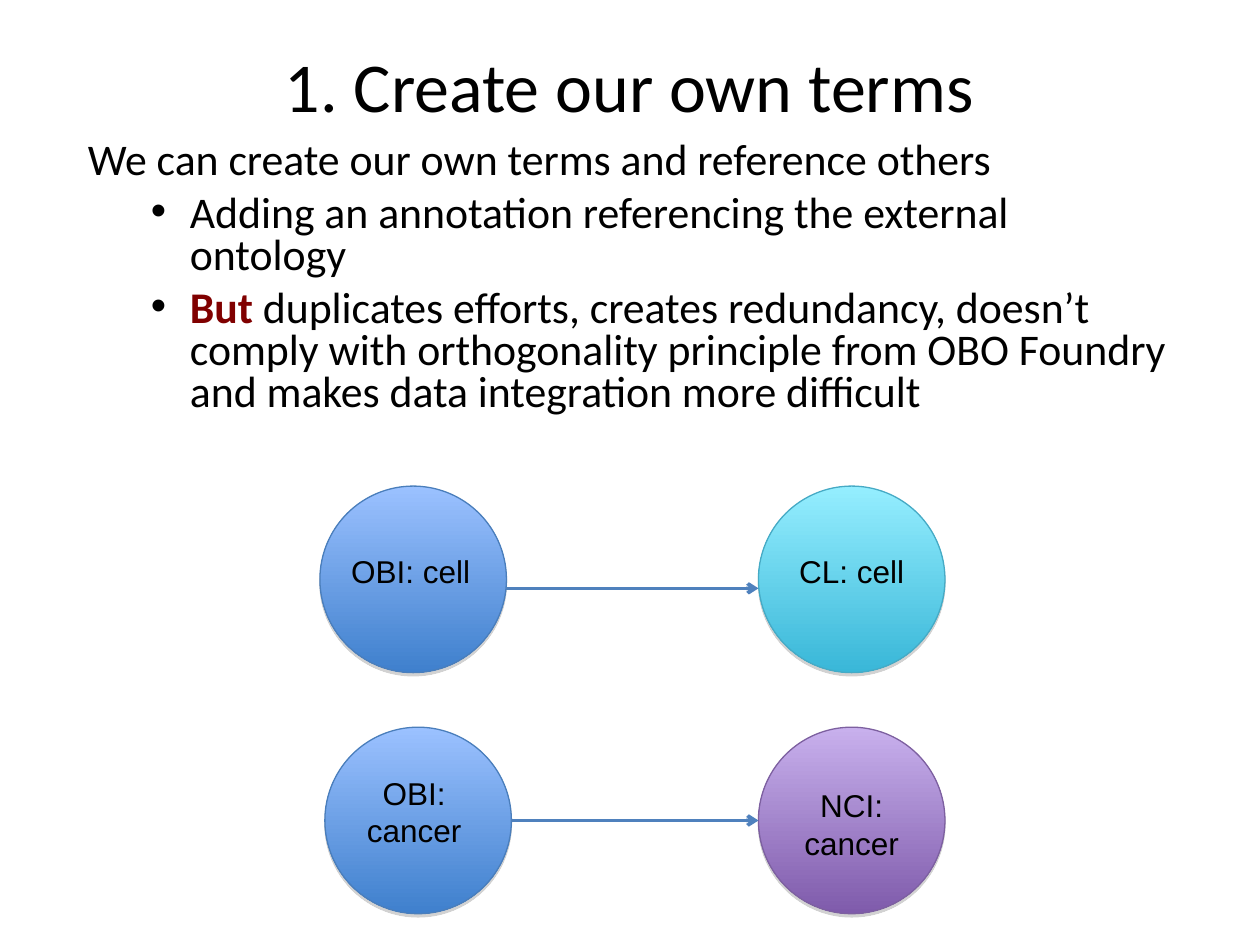
from dataclasses import dataclass

from lxml import etree
from pptx import Presentation
from pptx import util as u
from pptx.dml.color import RGBColor
from pptx.enum import shapes, text
from pptx.oxml import ns
from pptx.util import Cm


@dataclass(frozen=True)
class Theme:
    heading_font: str = "Calibri"
    label_font: str = "Arial"
    title_size: int = 40
    body_size: int = 25
    label_size: int = 18
    ink: str = "000000"
    warning: str = "800000"
    arrow: str = "4F81BD"
    shadow: str = "808080"
    blue: tuple = ("9BC1FF", "3F80CD", "4A7EBB")
    cyan: tuple = ("95EEFF", "39B7D8", "46AAC5")
    purple: tuple = ("C8B0ED", "7F5BAB", "7D60A0")


THEME = Theme()
DIAMETER = 3.76
TARGET_LEFT = 15.29


def add_xml(parent, tag, **attributes):
    return etree.SubElement(parent, ns.qn(tag), attributes)


def style_span(span, font, size, color=THEME.ink, bold=False):
    span.font.name = font
    span.font.size = u.Pt(size)
    span.font.bold = bold
    span.font.color.rgb = RGBColor.from_string(color)


def add_box(page, left, top, width, height):
    box = page.shapes.add_textbox(Cm(left), Cm(top), Cm(width), Cm(height))
    box.text_frame.word_wrap = True
    return box


def add_title(page, words):
    frame = add_box(page, 1.52, 0.64, 22.33, 2.11).text_frame
    frame.text = words
    frame.vertical_anchor = text.MSO_ANCHOR.MIDDLE
    para = frame.paragraphs[0]
    para.alignment = text.PP_ALIGN.CENTER
    style_span(para.runs[0], THEME.heading_font, THEME.title_size)


def set_indent(para, margin, first_line):
    properties = para._p.get_or_add_pPr()
    properties.set("marL", str(Cm(margin)))
    properties.set("indent", str(Cm(first_line)))
    return properties


def add_bullet(para):
    properties = set_indent(para, 2.06, -0.79)
    para.level = 1
    color = add_xml(properties, "a:buClr")
    add_xml(color, "a:srgbClr", val=THEME.ink)
    add_xml(properties, "a:buFont", typeface=THEME.label_font)
    add_xml(properties, "a:buChar", char="•")


def add_body(page, lead, bullets):
    frame = add_box(page, 1.52, 2.74, 22.33, 6.35).text_frame
    frame.text = lead
    first = frame.paragraphs[0]
    set_indent(first, 1.27, -1.27)
    style_span(first.runs[0], THEME.heading_font, THEME.body_size)
    for warning, words in bullets:
        para = frame.add_paragraph()
        add_bullet(para)
        para.space_before = u.Pt(6.2)
        if warning:
            span = para.add_run()
            span.text = warning
            style_span(span, THEME.heading_font, THEME.body_size, THEME.warning, True)
        span = para.add_run()
        span.text = words
        style_span(span, THEME.heading_font, THEME.body_size)
    for para in frame.paragraphs:
        para.line_spacing = 0.8


def add_circle(page, left, top, colors):
    circle = page.shapes.add_shape(
        shapes.MSO_SHAPE.OVAL, Cm(left), Cm(top), Cm(DIAMETER), Cm(DIAMETER))
    *stops, outline = colors
    circle.fill.gradient()
    circle.fill.gradient_angle = 270
    for stop, color in zip(circle.fill.gradient_stops, stops):
        stop.color.rgb = RGBColor.from_string(color)
    circle.line.color.rgb = RGBColor.from_string(outline)
    circle.line.width = u.Pt(0.75)
    circle.shadow.inherit = False
    effects = circle._element.spPr.find(ns.qn("a:effectLst"))
    shadow = add_xml(effects, "a:outerShdw", blurRad="0", dist=str(u.Pt(1.8)),
                     dir="5400000", rotWithShape="0")
    color = add_xml(shadow, "a:srgbClr", val=THEME.shadow)
    add_xml(color, "a:alpha", val="35000")


def add_label(page, words, left, top, width, height, align=text.PP_ALIGN.CENTER):
    frame = add_box(page, left, top, width, height).text_frame
    frame.text = words
    para = frame.paragraphs[0]
    para.alignment = align
    style_span(para.runs[0], THEME.label_font, THEME.label_size)


def add_arrow(page, start, end, height):
    arrow = page.shapes.add_connector(
        shapes.MSO_CONNECTOR.STRAIGHT, Cm(start), Cm(height), Cm(end), Cm(height))
    arrow.line.color.rgb = RGBColor.from_string(THEME.arrow)
    arrow.line.width = u.Pt(2)
    add_xml(arrow.line._get_or_add_ln(), "a:tailEnd", type="arrow")
    add_xml(arrow._element.spPr, "a:effectLst")


def add_mapping(page, source_left, top, target_colors, arrow_height):
    add_circle(page, source_left, top, THEME.blue)
    add_circle(page, TARGET_LEFT, top, target_colors)
    add_arrow(page, source_left + DIAMETER, TARGET_LEFT, arrow_height)


def main():
    deck = Presentation()
    deck.slide_width, deck.slide_height = Cm(25.4), Cm(19.05)
    page = deck.slides.add_slide(deck.slide_layouts[6])
    add_title(page, "1. Create our own terms")
    add_body(page, "We can create our own terms and reference others", [
        ("", "Adding an annotation referencing the external ontology"),
        ("But ", "duplicates efforts, creates redundancy, doesn’t comply with "
                 "orthogonality principle from OBO Foundry and makes data "
                 "integration more difficult"),
    ])
    add_mapping(page, 6.45, 9.8, THEME.cyan, 11.86)
    add_mapping(page, 6.55, 14.66, THEME.purple, 16.54)
    add_label(page, "OBI: cell", 6.83, 11, 3.18, 1.02, text.PP_ALIGN.LEFT)
    add_label(page, "CL: cell", TARGET_LEFT, 11, DIAMETER, 1.02)
    add_label(page, "OBI: cancer", 6.76, 15.47, 3.18, 1.78)
    add_label(page, "NCI: cancer", TARGET_LEFT, 15.72, DIAMETER, 1.78)
    deck.save("out.pptx")


if __name__ == "__main__":
    main()
